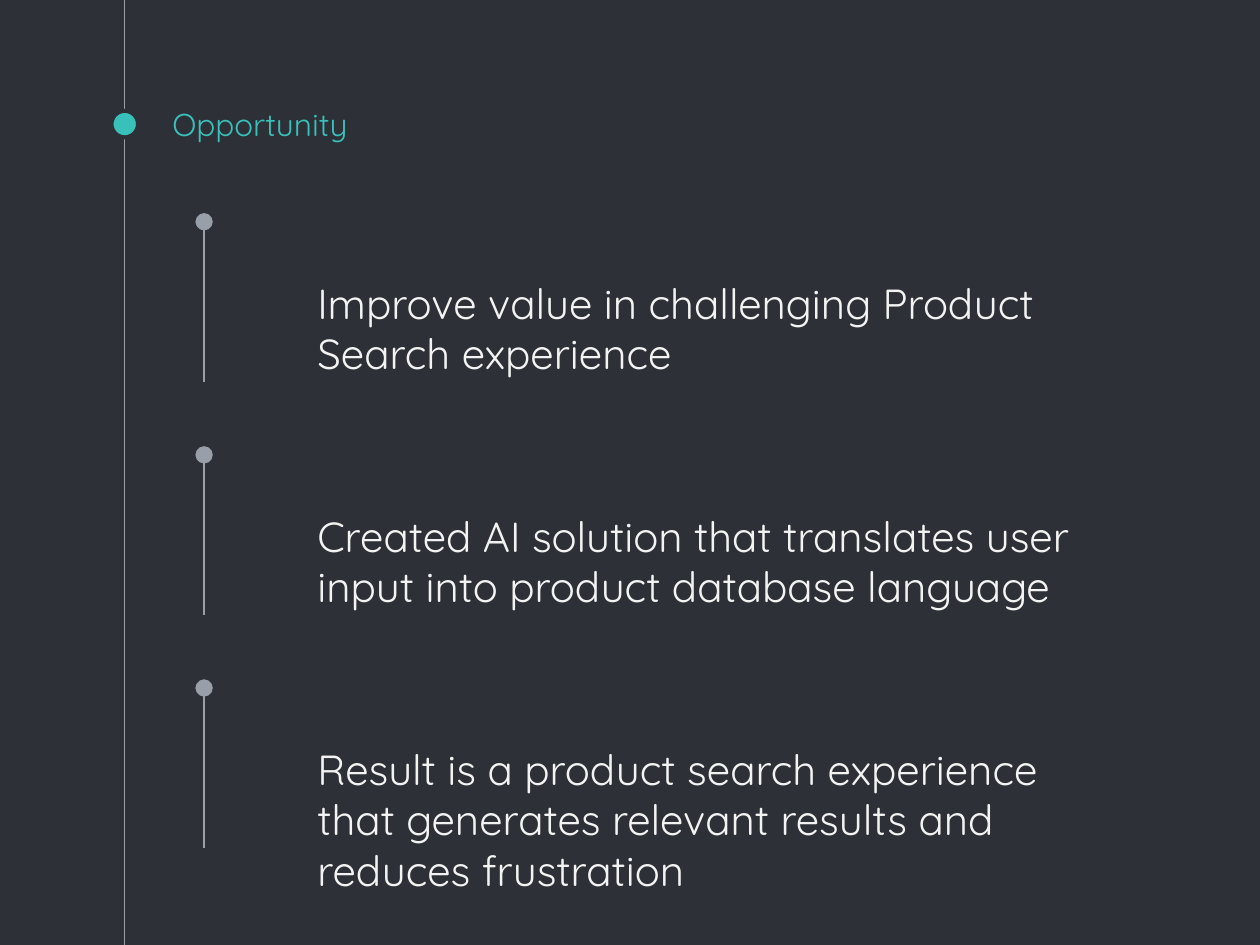
"""Build the Opportunity timeline slide."""
from dataclasses import dataclass

from lxml import etree
from pptx import Presentation
from pptx.dml.color import RGBColor
from pptx.enum.shapes import MSO_CONNECTOR as Connector, MSO_SHAPE as Shape
from pptx.enum.text import MSO_ANCHOR as Anchor
from pptx.oxml.ns import qn
from pptx.util import Inches, Pt

BACKGROUND = RGBColor(0x2E, 0x30, 0x37)
TEAL = RGBColor(0x39, 0xC0, 0xBA)
GREY = RGBColor(0x99, 0x9F, 0xA9)
WHITE = RGBColor(0xF3, 0xF3, 0xF3)

TIMELINE_X = 0.99
BRANCH_X = 1.62
BRANCH_TOP = 1.76
BRANCH_STEP = 1.85
BRANCH_LENGTH = 1.27
TEXT_OFFSET = 0.34


@dataclass
class Point:
    text: str
    width: float
    height: float


POINTS = [
    Point("Improve value in challenging Product Search experience", 6.96, 0.57),
    Point("Created AI solution that translates user input into product database language", 6.35, 0.42),
    Point("Result is a product search experience that generates relevant results and reduces frustration", 6.35, 0.39),
]


def add_line(slide, x: float, start: float, end: float, dotted: bool = False) -> None:
    connector = slide.shapes.add_connector(
        Connector.STRAIGHT, Inches(x), Inches(start), Inches(x), Inches(end))
    connector.line.color.rgb = GREY
    connector.line.width = Pt(0.75)
    if dotted:
        outline = connector.line._get_or_add_ln()
        etree.SubElement(outline, qn("a:tailEnd"), type="oval", w="lg", len="lg")
    etree.SubElement(connector._element.spPr, qn("a:effectLst"))


def add_text(slide, text: str, left: float, top: float, width: float, height: float,
             size: int, color: RGBColor, anchor: Anchor = Anchor.TOP) -> None:
    box = slide.shapes.add_textbox(Inches(left), Inches(top), Inches(width), Inches(height))
    frame = box.text_frame
    inset = Inches(0.1)
    frame_format = {
        "word_wrap": True, "vertical_anchor": anchor,
        "margin_left": inset, "margin_right": inset,
        "margin_top": inset, "margin_bottom": inset,
    }
    for name, value in frame_format.items():
        setattr(frame, name, value)
    run = frame.paragraphs[0].add_run()
    run.text = text
    for name, value in {"name": "Quicksand", "size": Pt(size)}.items():
        setattr(run.font, name, value)
    run.font.color.rgb = color


def add_marker(slide, center_x: float, top: float, size: float) -> None:
    marker = slide.shapes.add_shape(
        Shape.OVAL, Inches(center_x - size / 2), Inches(top), Inches(size), Inches(size))
    marker.shadow.inherit = False
    marker.fill.solid()
    marker.fill.fore_color.rgb = TEAL
    marker.line.color.rgb = BACKGROUND
    marker.line.width = Pt(2.25)


def main() -> None:
    presentation = Presentation()
    presentation.slide_width = Inches(10)
    presentation.slide_height = Inches(7.5)
    slide = presentation.slides.add_slide(presentation.slide_layouts[6])
    slide.background.fill.solid()
    slide.background.fill.fore_color.rgb = BACKGROUND

    add_line(slide, TIMELINE_X, 0, 7.5)
    add_marker(slide, TIMELINE_X, 0.88, 0.21)
    add_text(slide, "Opportunity", 1.27, 0.73, 7.5, 0.5, 18, TEAL, Anchor.BOTTOM)

    for index, point in enumerate(POINTS):
        top = BRANCH_TOP + index * BRANCH_STEP
        add_line(slide, BRANCH_X, top + BRANCH_LENGTH, top, dotted=True)
        add_text(slide, point.text, 2.42, top + TEXT_OFFSET,
                 point.width, point.height, 24, WHITE)

    presentation.save("out.pptx")


main()
